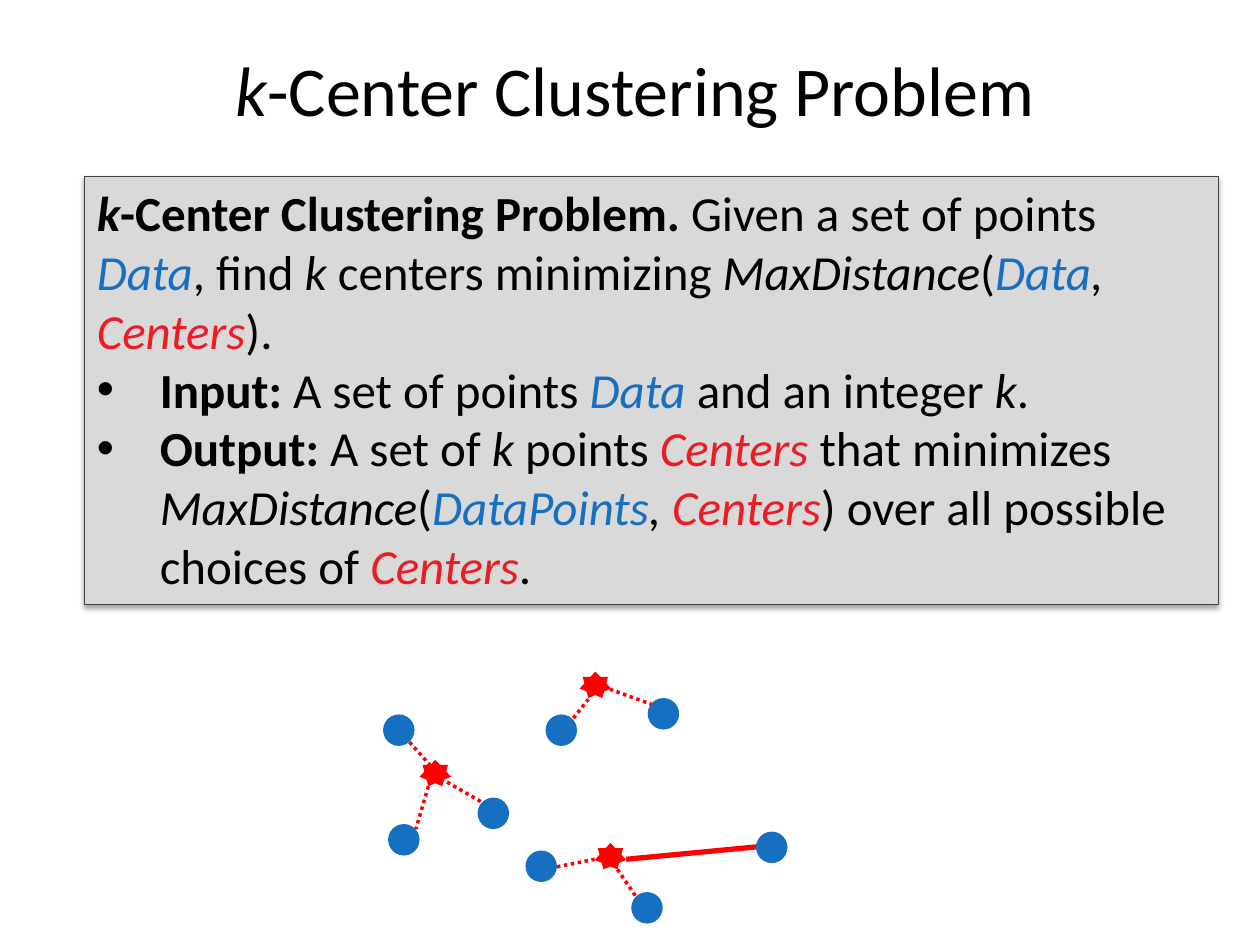
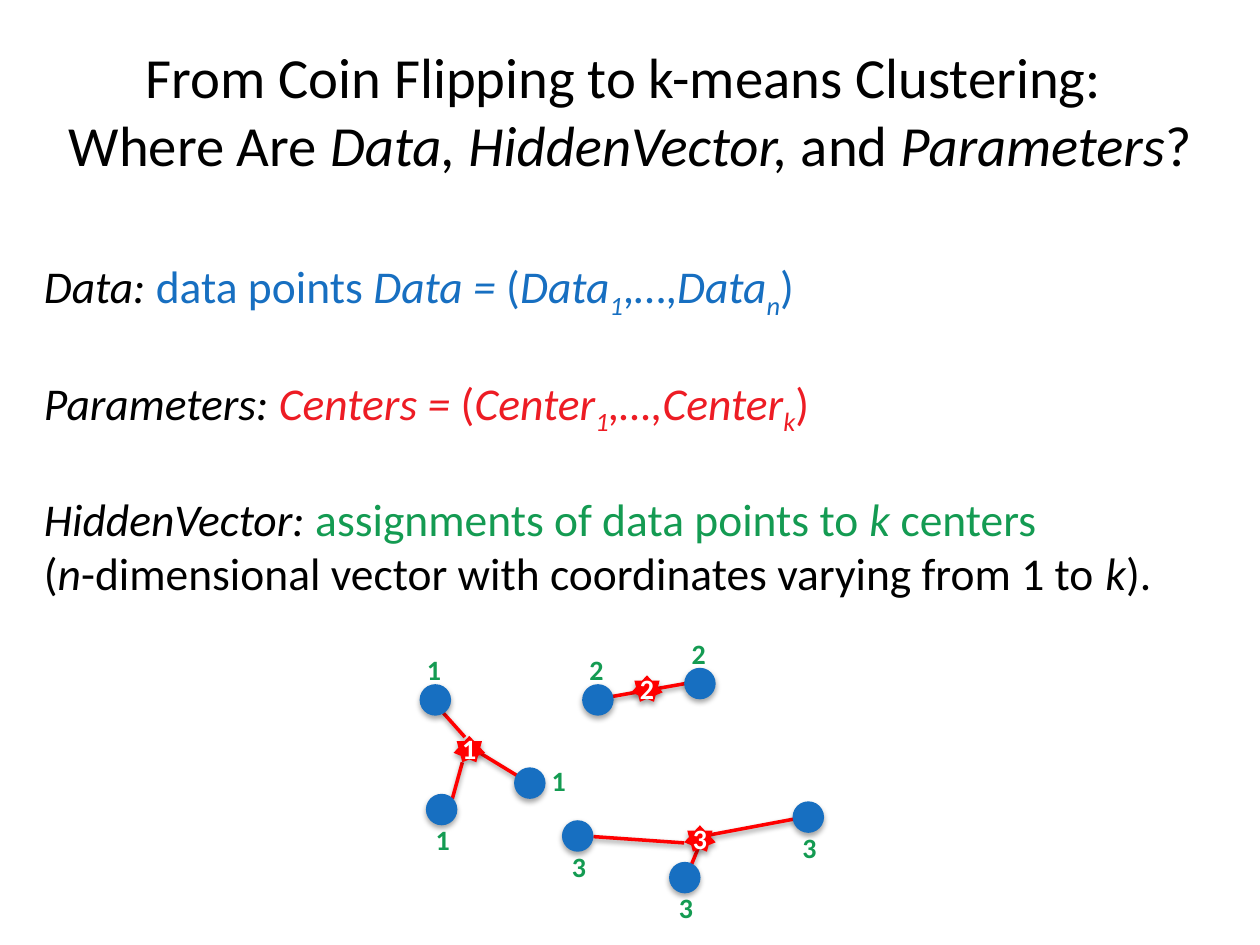
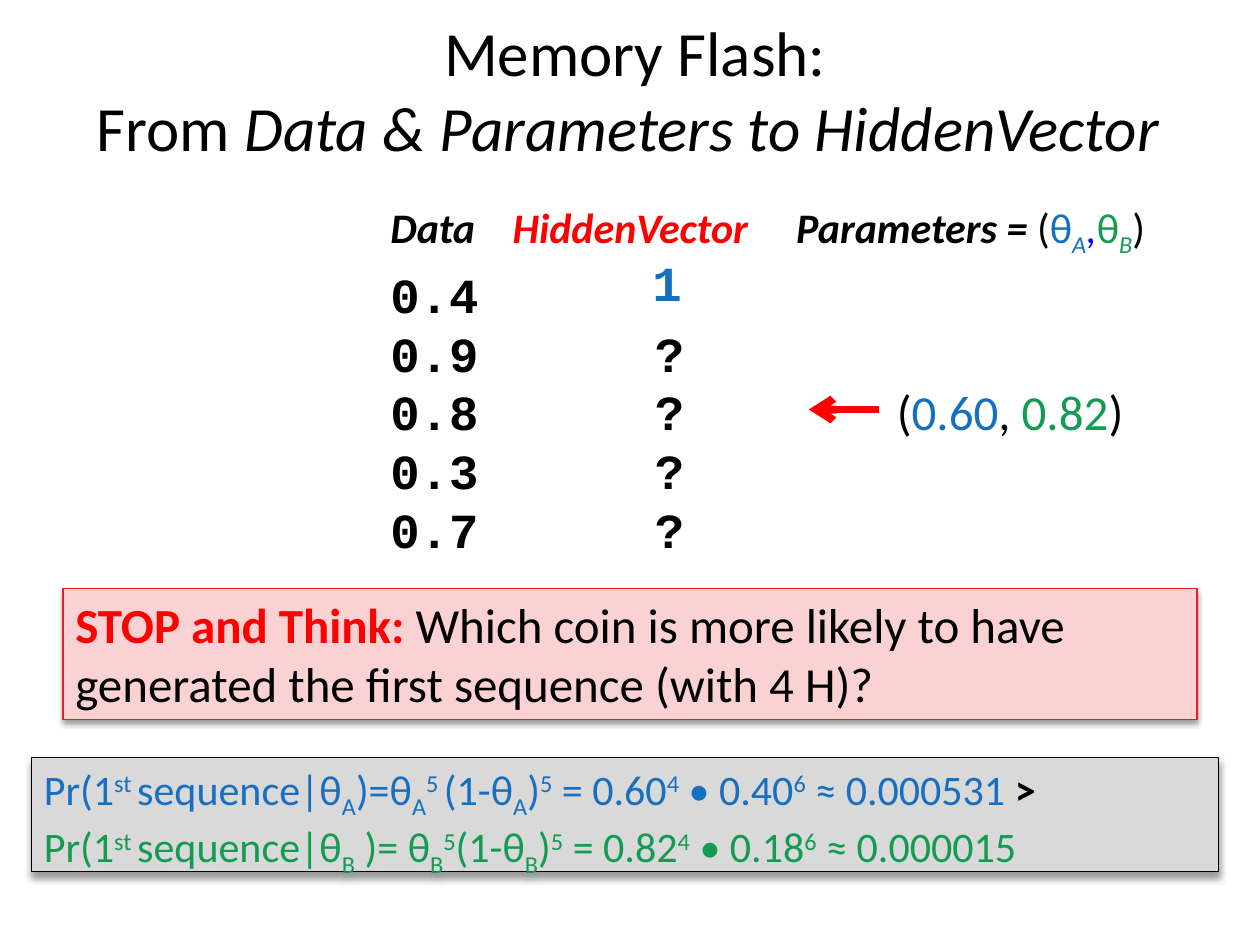
from collections import namedtuple

from lxml.etree import SubElement
from pptx import Presentation
from pptx.dml.color import RGBColor
from pptx.enum.dml import MSO_LINE
from pptx.enum.shapes import MSO_CONNECTOR, MSO_SHAPE
from pptx.enum.text import MSO_ANCHOR, PP_ALIGN
from pptx.oxml.ns import qn
from pptx.util import Inches, Pt

BLACK = RGBColor(0x00, 0x00, 0x00)
WHITE = RGBColor(0xFF, 0xFF, 0xFF)
BLUE = RGBColor(0x17, 0x6F, 0xC1)
PURE_BLUE = RGBColor(0x00, 0x00, 0xFF)
GREEN = RGBColor(0x14, 0x9B, 0x52)
CRIMSON = RGBColor(0xED, 0x1C, 0x24)
RED = RGBColor(0xFF, 0x00, 0x00)
GREY = RGBColor(0xD9, 0xD9, 0xD9)
DARK_GREY = RGBColor(0x40, 0x40, 0x40)
PINK = RGBColor(0xFB, 0xD2, 0xD3)

COLOURS = {"blue": BLUE, "pure": PURE_BLUE, "green": GREEN,
           "crimson": CRIMSON, "red": RED, "white": WHITE}
BASELINES = {"sub": "-25000", "sup": "30000"}
FONT, MONO = "Calibri", "Courier New"

Box = namedtuple("Box", "left top width height")
Shadow = namedtuple("Shadow", "alpha blur distance")
SOFT = Shadow(38, 3.1, 1.6)
DOT_SHADOW = Shadow(35, 3.1, 1.8)
DEEP = Shadow(40, 4, 3)

DOT, STAR_HEIGHT = 0.25, 0.21
LABEL = 0.38
ABOVE, BELOW, RIGHT = (-0.04, -0.3), (-0.02, 0.18), (0.2, -0.08)
ON_STAR = (-0.03, -0.08)


# Text: a paragraph is a list of (text, style words) pairs
def add_spans(para, spans, size, font=FONT):
    for text, style in spans:
        if text == "\n":
            para.add_line_break()
            continue
        words = style.split()
        span = para.add_run()
        span.text = text
        span.font.size = Pt(size)
        span.font.name = FONT if "sans" in words else font
        span.font.bold = "b" in words
        span.font.italic = "i" in words
        span.font.color.rgb = BLACK
        for word in words:
            if word in COLOURS:
                span.font.color.rgb = COLOURS[word]
            if word in BASELINES:
                span._r.get_or_add_rPr().set("baseline", BASELINES[word])


def write(shape, paragraphs, size, font=FONT, align=PP_ALIGN.LEFT,
          anchor=MSO_ANCHOR.TOP):
    frame = shape.text_frame
    frame.word_wrap = True
    frame.vertical_anchor = anchor
    for index, spans in enumerate(paragraphs):
        para = frame.add_paragraph() if index else frame.paragraphs[0]
        para.alignment = align
        add_spans(para, spans, size, font)
    return frame


def add_text(page, box, paragraphs, size, **options):
    shape = page.shapes.add_textbox(*map(Inches, box))
    return write(shape, paragraphs, size, **options)


def add_title(page, box, spans, size):
    add_text(page, box, [spans], size, align=PP_ALIGN.CENTER,
             anchor=MSO_ANCHOR.MIDDLE)


def set_bullet(para, indent):
    props = para._p.get_or_add_pPr()
    props.set("marL", str(Inches(indent)))
    props.set("indent", str(-Inches(indent)))
    SubElement(props, qn("a:buFont"), typeface="Arial")
    SubElement(props, qn("a:buChar"), char="•")


def set_tabs(para, stops):
    tabs = SubElement(para._p.get_or_add_pPr(), qn("a:tabLst"))
    for stop in stops:
        SubElement(tabs, qn("a:tab"), pos=str(Inches(stop)), algn="l")


# Shapes and lines
def set_shadow(item, shadow):
    props = item._element.spPr
    effects = props.find(qn("a:effectLst"))
    if effects is None:
        effects = SubElement(props, qn("a:effectLst"))
    if shadow:
        outer = SubElement(effects, qn("a:outerShdw"), dir="5400000",
                           blurRad=str(Pt(shadow.blur)),
                           dist=str(Pt(shadow.distance)),
                           rotWithShape="0")
        colour = SubElement(outer, qn("a:srgbClr"), val=str(BLACK))
        SubElement(colour, qn("a:alpha"), val=str(shadow.alpha * 1000))


def add_shape(page, kind, box, fill, line=None, shadow=None):
    shape = page.shapes.add_shape(kind, *map(Inches, box))
    shape.fill.solid()
    shape.fill.fore_color.rgb = fill
    if line is None:
        shape.line.fill.background()
    else:
        shape.line.color.rgb = line
        shape.line.width = Pt(0.75)
    shape.shadow.inherit = False
    set_shadow(shape, shadow)
    return shape


def add_line(page, start, end, width, dotted=False, arrow=False, shadow=None):
    line = page.shapes.add_connector(MSO_CONNECTOR.STRAIGHT,
                                     *map(Inches, (*start, *end)))
    line.line.color.rgb = RED
    line.line.width = Pt(width)
    if dotted:
        line.line.dash_style = MSO_LINE.ROUND_DOT
    if arrow:
        SubElement(line.line._get_or_add_ln(), qn("a:headEnd"), type="arrow")
    set_shadow(line, shadow)


def add_panel(page, box, paragraphs, size, fill, line, shadow=SOFT):
    panel = add_shape(page, MSO_SHAPE.RECTANGLE, box, fill, line, shadow)
    return write(panel, paragraphs, size)


# Cluster diagram: links below, then data points and centers
def add_clusters(page, box, dots, stars, links, dot_shadow=None,
                 link_shadow=None):
    def place(x, y):
        return box.left + x, box.top + y

    for x1, y1, x2, y2, width, dotted in links:
        add_line(page, place(x1, y1), place(x2, y2), width, dotted,
                 shadow=link_shadow)
    for x, y in dots:
        add_shape(page, MSO_SHAPE.OVAL, (*place(x, y), DOT, DOT), BLUE,
                  shadow=dot_shadow)
    for x, y in stars:
        add_shape(page, MSO_SHAPE.STAR_7_POINT,
                  (*place(x, y), DOT, STAR_HEIGHT), RED, shadow=dot_shadow)


def add_label(page, box, point, offset, number, colour):
    left = box.left + point[0] + offset[0]
    top = box.top + point[1] + offset[1]
    add_text(page, (left, top, LABEL, LABEL), [[(number, f"b {colour}")]], 16)


def build_problem(page):
    add_title(page, Box(0.08, 0.08, 9.92, 1.25),
              [("k", "i"), ("-Center Clustering Problem", "")], 40)

    # Diagram
    dots = [(0.04, 0.42), (0.08, 1.29), (0.79, 1.08), (2.14, 0.29),
            (1.33, 0.42), (1.17, 1.5), (2.01, 1.83), (3, 1.35)]
    stars = [(1.6, 0.08), (1.72, 1.44), (0.33, 0.78)]
    dotted = [(0.25, 0.64, 0.42, 0.83), (0.5, 0.93, 0.83, 1.12),
              (0.4, 0.99, 0.3, 1.33), (1.42, 1.63, 1.72, 1.57),
              (1.9, 1.65, 2.05, 1.87), (1.55, 0.45, 1.67, 0.3),
              (1.84, 0.22, 2.17, 0.34)]
    links = [(*ends, 2, True) for ends in dotted]
    links.append((1.97, 1.57, 3.02, 1.47, 3, False))
    add_clusters(page, Box(3, 5.25, 3.25, 2.1), dots, stars, links)

    # Definition
    frame = add_panel(page, Box(0.67, 1.4, 9, 3.4), [
        [("k", "b i"), ("-Center Clustering Problem.", "b"),
         (" Given a set of points ", ""), ("Data", "i blue"), (", find ", ""),
         ("k", "i"), (" centers minimizing ", ""), ("MaxDistance", "i"),
         ("(", ""), ("Data", "i blue"), (", ", "i"),
         ("Centers", "i crimson"), (").", "")],
        [("Input:", "b"), (" A set of points ", ""), ("Data ", "i blue"),
         ("and an integer ", ""), ("k", "i"), (".", "")],
        [("Output:", "b"), (" A set of ", ""), ("k", "i"), (" points ", ""),
         ("Centers ", "i crimson"), ("that minimizes ", ""),
         ("MaxDistance", "i"), ("(", ""), ("DataPoints", "i blue"),
         (", ", "i"), ("Centers", "i crimson"),
         (") over all possible choices of ", ""),
         ("Centers", "i crimson"), (".", "")],
    ], 28, GREY, DARK_GREY)
    for para in frame.paragraphs[1:]:
        set_bullet(para, 0.5)


def build_roles(page):
    add_title(page, Box(0, 0.25, 10, 1.25), [
        ("From Coin Flipping to k-means Clustering: ", ""), ("\n", ""),
        ("Where Are ", ""), ("Data, HiddenVector, ", "i"), ("and ", ""),
        ("Parameters", "i"), ("?", "")], 32.4)

    # Roles of the three quantities
    frame = add_text(page, Box(0.25, 2, 9.67, 2.73), [
        [("Data: ", "i"), ("data points ", "blue"), ("Data = ", "i blue"),
         ("(", "blue"), ("Data", "i blue"), ("1", "i blue sub"),
         (",…,", "blue"), ("Data", "i blue"), ("n", "i blue sub"),
         (")", "blue")],
        [("Parameters: ", "i"), ("Centers = ", "i crimson"),
         ("(", "crimson"), ("Center", "i crimson"), ("1", "i crimson sub"),
         (",…,Center", "i crimson"), ("k", "i crimson sub"),
         (")", "crimson")],
        [("HiddenVector: ", "i"), ("assignments of data points to ", "green"),
         ("k", "i green"), (" centers", "green")],
        [("(", ""), ("n", "i"),
         ("-dimensional vector with coordinates varying from 1 to ", ""),
         ("k", "i"), (").", "")],
    ], 26)
    for para in frame.paragraphs[1:3]:
        para.space_before = Pt(31)

    # Diagram with cluster numbers
    box = Box(3.25, 5, 3.4, 2.4)
    dots = {(0.08, 0.43): ("1", ABOVE), (0.13, 1.3): ("1", BELOW),
            (0.83, 1.09): ("1", RIGHT), (1.37, 0.43): ("2", ABOVE),
            (2.18, 0.3): ("2", ABOVE), (1.21, 1.51): ("3", BELOW),
            (2.06, 1.84): ("3", BELOW), (3.04, 1.36): ("3", BELOW)}
    stars = {(0.35, 0.84): "1", (1.76, 0.36): "2", (2.18, 1.55): "3"}
    ends = [(0.27, 0.66, 0.44, 0.85), (0.5, 0.94, 0.96, 1.22),
            (0.42, 1.05, 0.34, 1.34), (1.46, 1.64, 2.18, 1.69),
            (2.3, 1.71, 2.21, 1.93), (2.31, 1.64, 3.11, 1.49),
            (1.54, 0.54, 2.22, 0.42)]
    links = [(*link, 2, False) for link in ends]
    add_clusters(page, box, dots, stars, links, DOT_SHADOW, SOFT)
    for point, (number, offset) in dots.items():
        add_label(page, box, point, offset, number, "green")
    for point, number in stars.items():
        add_label(page, box, point, ON_STAR, number, "white")


def likelihood(coin, colour, equals, power, middle, heads, tails, result):
    parts = [("Pr(1", ""), ("st ", "sup"), ("sequence|θ", ""), (coin, "sub"),
             (equals, ""), (coin, "sub"), (power, "sup"), ("(1-θ", ""),
             (coin, "sub"), (")", ""), ("5", "sup"), (middle + heads, ""),
             ("4", "sup"), (f" • {tails}", ""), ("6", "sup"),
             (f" ≈ {result}", "")]
    return [(text, f"{style} {colour}") for text, style in parts]


def add_coin_table(page, box):
    # Column headings
    heading = add_text(page, Box(box.left, box.top, box.width, 0.5), [[
        ("Data\t", "b i"), ("HiddenVector\t", "b i red"),
        ("Parameters = ", "b i"), ("(", ""), ("θ", "blue"),
        ("A", "i blue sub"), (",", "i pure"), ("θ", "green"),
        ("B", "i green sub"), (")", "")]], 24)
    set_tabs(heading.paragraphs[0], (0.97, 3.22))

    # Rows
    rows = [[("0.4", "b")]]
    rows += [[(f"{value}\t?", "b")] for value in ("0.9", "0.8", "0.3", "0.7")]
    rows[2] += [("\t", "b"), ("(", "sans"), ("0.60", "sans blue"),
                (", ", "sans"), ("0.82", "sans green"), (")", "sans")]
    values = add_text(page, Box(box.left, box.top + 0.5, box.width,
                                box.height - 0.5), rows, 28, font=MONO)
    for para in values.paragraphs:
        para.line_spacing = Pt(33.6)
        set_tabs(para, (2.1, 4.02))

    # First answer and arrow from the parameters
    answer = add_text(page, (box.left + 2.08, box.top + 0.45, 0.45, 0.52),
                      [[("1", "b blue")]], 28, font=MONO)
    answer.margin_top = 0
    arrow_y = box.top + 1.7
    add_line(page, (box.left + 3.42, arrow_y), (box.left + 3.98, arrow_y),
             4.5, arrow=True)


def build_memory_flash(page):
    add_coin_table(page, Box(3, 1.55, 6.8, 3))
    add_panel(page, Box(0.25, 6.01, 9.42, 0.91), [
        likelihood("A", "blue", ")=θ", "5 ", " = ", "0.60", "0.40",
                   "0.000531 ") + [(">", "b")],
        likelihood("B", "green", " )= θ", "5", " = ", "0.82", "0.18",
                   "0.000015"),
    ], 24, GREY, BLACK, DEEP)
    add_title(page, Box(0.25, 0.08, 9.58, 1.25), [
        ("Memory Flash:", ""), ("\n", ""), ("From ", ""),
        ("Data & Parameters to HiddenVector ", "i")], 36)
    add_panel(page, Box(0.5, 4.67, 9, 1.04), [[
        ("STOP and Think: ", "b red"),
        ("Which coin is more likely to have generated the first sequence "
         "(with 4 H)?", "")]], 28, PINK, CRIMSON)


def main():
    deck = Presentation()
    deck.slide_width, deck.slide_height = Inches(10), Inches(7.5)
    for build in (build_problem, build_roles, build_memory_flash):
        build(deck.slides.add_slide(deck.slide_layouts[6]))
    deck.save("out.pptx")


if __name__ == "__main__":
    main()
